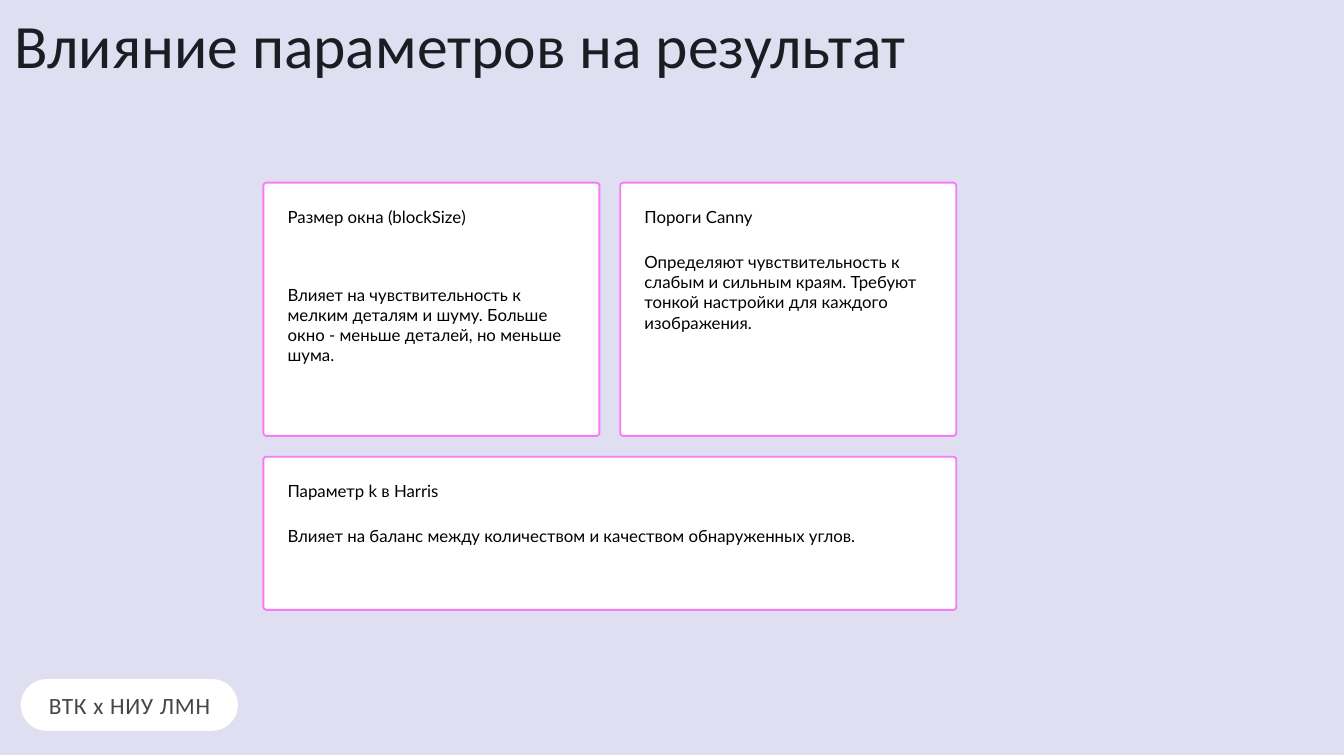
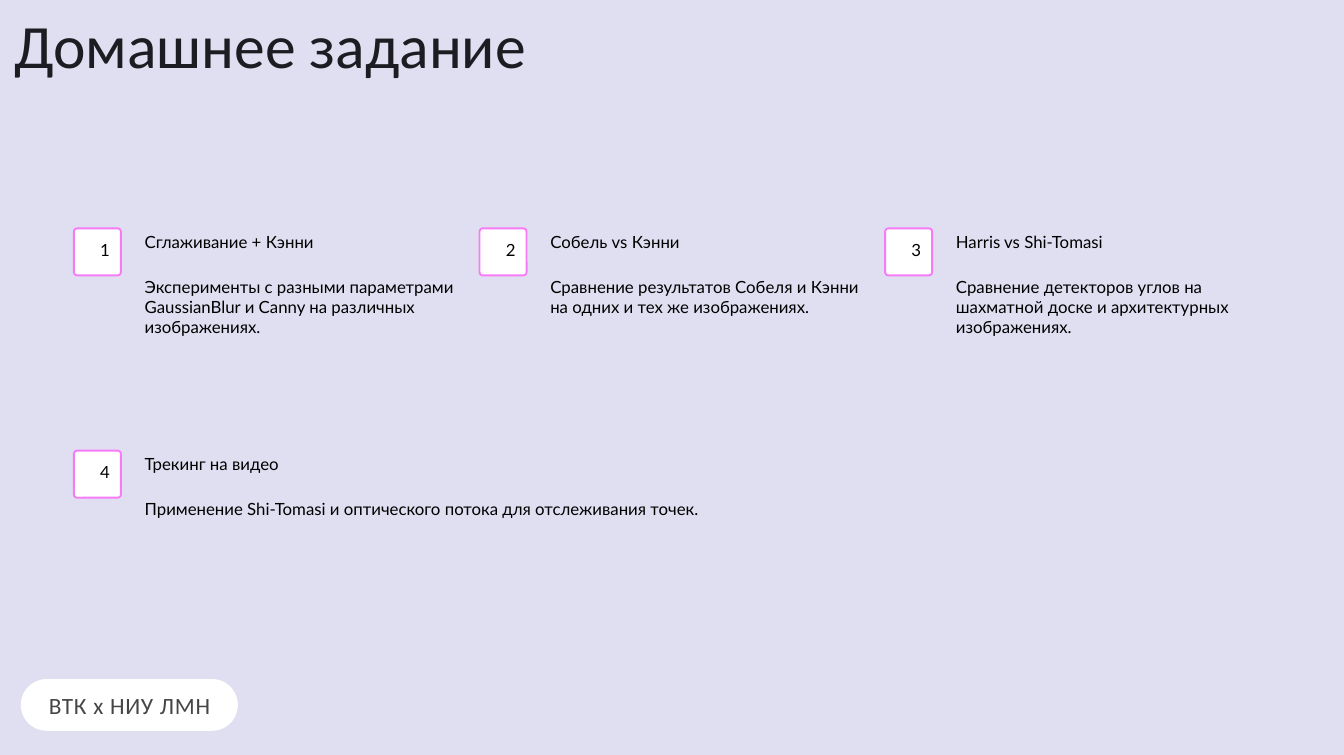
from pptx import Presentation
from pptx.dml.color import RGBColor
from pptx.enum.shapes import MSO_SHAPE
from pptx.enum.text import MSO_ANCHOR, MSO_AUTO_SIZE, PP_ALIGN
from pptx.util import Pt

BACKGROUND = "E0DFF1"
WHITE = "FFFFFF"
PINK = "F77BF7"
BLACK = "000000"
TITLE_COLOR = "1B1D22"
FOOTER_COLOR = "464646"
INSET = 3.6
LINE_HEIGHT = 28.08


def add_box(slide, left, top, width, height, corner, line_color=None):
    shape = slide.shapes.add_shape(
        MSO_SHAPE.ROUNDED_RECTANGLE, Pt(left), Pt(top), Pt(width), Pt(height))
    shape.adjustments[0] = corner
    shape.shadow.inherit = False
    shape.fill.solid()
    shape.fill.fore_color.rgb = RGBColor.from_string(WHITE)
    if line_color:
        shape.line.color.rgb = RGBColor.from_string(line_color)
        shape.line.width = Pt(2)
    else:
        shape.line.fill.background()


def add_text(slide, text, left, top, width, height=LINE_HEIGHT, wrap=True,
             size=18, font="Lato", color=BLACK, fit=True):
    text_box = slide.shapes.add_textbox(Pt(left), Pt(top), Pt(width), Pt(height))
    text_frame = text_box.text_frame
    text_frame.margin_left = text_frame.margin_right = Pt(INSET)
    text_frame.margin_top = text_frame.margin_bottom = Pt(INSET)
    text_frame.word_wrap = wrap
    text_frame.auto_size = MSO_AUTO_SIZE.SHAPE_TO_FIT_TEXT if fit else MSO_AUTO_SIZE.NONE
    text_frame.text = text
    run = text_frame.paragraphs[0].runs[0]
    run.font.size = Pt(size)
    run.font.name = font
    run.font.color.rgb = RGBColor.from_string(color)
    return text_frame


presentation = Presentation()
presentation.slide_width = Pt(1440)
presentation.slide_height = Pt(809.28)

# Shared background, footer badge and title
slides = []
for title in ("Влияние параметров на результат", "Домашнее задание"):
    slide = presentation.slides.add_slide(presentation.slide_layouts[6])
    slide.background.fill.solid()
    slide.background.fill.fore_color.rgb = RGBColor.from_string(BACKGROUND)

    add_box(slide, 22.32, 727.92, 232.56, 55.44, 0.5)
    footer = add_text(slide, "ВТК х НИУ ЛМН", 34.56, 722.16, 208.8, 66.96,
                      size=25, font="Calibri", color=FOOTER_COLOR)
    footer.vertical_anchor = MSO_ANCHOR.MIDDLE
    paragraph = footer.paragraphs[0]
    paragraph.alignment = PP_ALIGN.CENTER
    paragraph.runs[0].font._element.set("spc", "80")

    heading = add_text(slide, title, 11.52, 25.2, 1284.48, 102.24,
                       size=66, font="Calibri", color=TITLE_COLOR, fit=False)
    heading.paragraphs[0].line_spacing = 0.7
    slides.append(slide)

parameters_slide, homework_slide = slides

# Parameter cards: two in the first row, one across the second
CARD_LEFT, CARD_TOP = 282.24, 195.84
CARD_WIDTH, CARD_HEIGHT = 360, 271.44
CARD_GAP = 22.32
CARD_PADDING = 22.32
WIDE_WIDTH = 2 * CARD_WIDTH + CARD_GAP
second_left = CARD_LEFT + CARD_WIDTH + CARD_GAP
second_top = CARD_TOP + CARD_HEIGHT + CARD_GAP

# left, top, width, height, corner, name, name width, name wraps,
# description, description offset, description height
cards = [
    (CARD_LEFT, CARD_TOP, CARD_WIDTH, CARD_HEIGHT, 0.012,
     "Размер окна (blockSize)", 315.36, True,
     "Влияет на чувствительность к мелким деталям и шуму. "
     "Больше окно - меньше деталей, но меньше шума.", 105.84, 102.96),
    (second_left, CARD_TOP, CARD_WIDTH, CARD_HEIGHT, 0.012,
     "Пороги Canny", 126.72, False,
     "Определяют чувствительность к слабым и сильным краям. "
     "Требуют тонкой настройки для каждого изображения.", 70.56, 102.96),
    (CARD_LEFT, second_top, WIDE_WIDTH, 164.16, 0.02,
     "Параметр k в Harris", 174.24, False,
     "Влияет на баланс между количеством и качеством обнаруженных углов.",
     70.56, LINE_HEIGHT),
]
for (left, top, width, height, corner, name, name_width, name_wraps,
     description, offset, description_height) in cards:
    add_box(parameters_slide, left, top, width, height, corner, PINK)
    text_left = left + CARD_PADDING
    add_text(parameters_slide, name, text_left, top + CARD_PADDING,
             name_width, wrap=name_wraps)
    add_text(parameters_slide, description, text_left, top + offset,
             width - 2 * CARD_PADDING, description_height)

# Numbered homework tasks on a grid of three columns
TASK_LEFT, TASK_TOP = 79.2, 244.8
COLUMN_STEP, ROW_STEP = 434.6, 238.32
BADGE_SIZE = 50.4
COLUMNS = 3

# name, name width, number width, description, its width, height and wrapping
tasks = [
    ("Сглаживание + Кэнни", 193.68, 14.4,
     "Эксперименты с разными параметрами GaussianBlur и Canny "
     "на различных изображениях.", 339.84, 77.76, True),
    ("Собель vs Кэнни", 148.32, 18.72,
     "Сравнение результатов Собеля и Кэнни на одних и тех же изображениях.",
     339.84, 77.76, True),
    ("Harris vs Shi-Tomasi", 174.96, 19.44,
     "Сравнение детекторов углов на шахматной доске и архитектурных "
     "изображениях.", 339.84, 77.76, True),
    ("Трекинг на видео", 155.52, 19.44,
     "Применение Shi-Tomasi и оптического потока для отслеживания точек.",
     612, LINE_HEIGHT, False),
]
for index, (name, name_width, number_width, description,
            width, height, wraps) in enumerate(tasks):
    row, column = divmod(index, COLUMNS)
    left = TASK_LEFT + column * COLUMN_STEP
    top = TASK_TOP + row * ROW_STEP
    add_box(homework_slide, left, top, BADGE_SIZE, BADGE_SIZE, 0.067, PINK)
    add_text(homework_slide, str(index + 1), left + 24.6, top + 8.64,
             number_width, wrap=False)
    add_text(homework_slide, name, left + 72.2, top, name_width, wrap=False)
    add_text(homework_slide, description, left + 72.2, top + 48.24,
             width, height, wrap=wraps)

presentation.save("out.pptx")
